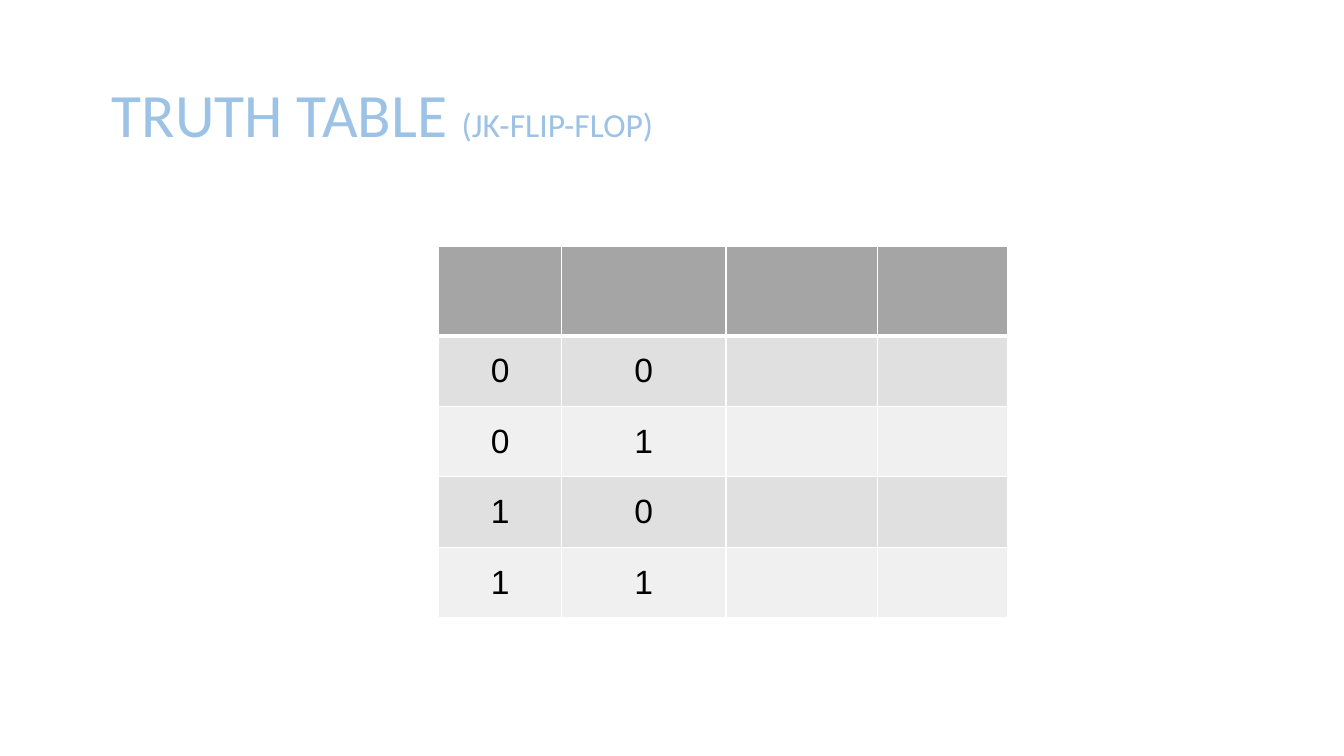
"""Build the JK flip-flop truth table slide."""
from dataclasses import dataclass

from pptx import Presentation
from pptx import util as u
from pptx.dml import color
from pptx.enum import text
from pptx.oxml import ns, xmlchemy


@dataclass(frozen=True)
class Theme:
    title: str = "9CC2E5"
    ink: str = "000000"
    border: str = "FFFFFF"
    header: str = "A5A5A5"
    bands: tuple = ("E0E0E0", "F0F0F0")
    title_font: str = "Calibri"
    body_font: str = "Arial"
    title_size: int = 44
    body_size: int = 24
    thin: int = 1
    thick: int = 3


THEME = Theme()
COLUMN_WIDTHS = (1.22, 1.63, 1.5, 1.29)
HEADER_HEIGHT, ROW_HEIGHT = 0.89, 0.7
INPUTS = [(j, k) for j in "01" for k in "01"]


def add_span(para, words, *, size, font, ink):
    span = para.add_run()
    span.text = words
    span.font.size = u.Pt(size)
    span.font.name = font
    span.font.color.rgb = color.RGBColor.from_string(ink)


def add_title(page, heading, detail):
    box = page.shapes.add_textbox(u.Inches(1.01), u.Inches(0.44), u.Inches(7.88), u.Inches(1.45))
    frame = box.text_frame
    frame.word_wrap = True
    frame.vertical_anchor = text.MSO_ANCHOR.MIDDLE
    para = frame.paragraphs[0]
    para.line_spacing = 0.9
    for words, size in ((heading, THEME.title_size), (detail, THEME.body_size)):
        add_span(para, words, size=size, font=THEME.title_font, ink=THEME.title)


def set_borders(cell, **widths):
    properties = cell._tc.get_or_add_tcPr()
    for side in "LRTB":
        line = xmlchemy.OxmlElement(f"a:ln{side}")
        line.set("w", str(u.Pt(widths.get(side, THEME.thin))))
        fill = xmlchemy.OxmlElement("a:solidFill")
        tint = xmlchemy.OxmlElement("a:srgbClr")
        tint.set("val", THEME.border)
        fill.append(tint)
        line.append(fill)
        properties.append(line)


def fill_cell(cell, shade):
    cell.fill.solid()
    cell.fill.fore_color.rgb = color.RGBColor.from_string(shade)


def write_cell(cell, words):
    cell.vertical_anchor = text.MSO_ANCHOR.MIDDLE
    para = cell.text_frame.paragraphs[0]
    para.alignment = text.PP_ALIGN.CENTER
    add_span(para, words, size=THEME.body_size, font=THEME.body_font, ink=THEME.ink)


def add_truth_table(page):
    heights = [HEADER_HEIGHT] + [ROW_HEIGHT] * len(INPUTS)
    table = page.shapes.add_table(
        len(heights), len(COLUMN_WIDTHS), u.Inches(4.35), u.Inches(2.44),
        u.Inches(sum(COLUMN_WIDTHS)), u.Inches(sum(heights))).table
    for column, width in zip(table.columns, COLUMN_WIDTHS):
        column.width = u.Inches(width)
    for index, (row, height) in enumerate(zip(table.rows, heights)):
        row.height = u.Inches(height)
        edges = {0: {"B": THEME.thick}, 1: {"T": THEME.thick}}.get(index, {})
        shade = THEME.bands[(index - 1) % 2] if index else THEME.header
        for cell in row.cells:
            set_borders(cell, **edges)
            fill_cell(cell, shade)
        if index:
            for cell, value in zip(row.cells, INPUTS[index - 1]):
                write_cell(cell, value)


def main():
    deck = Presentation()
    deck.slide_width, deck.slide_height = u.Inches(13.33), u.Inches(7.5)
    page = deck.slides.add_slide(deck.slide_layouts[6])
    add_title(page, "TRUTH TABLE ", "(JK-FLIP-FLOP)")
    add_truth_table(page)
    deck.save("out.pptx")


if __name__ == "__main__":
    main()
